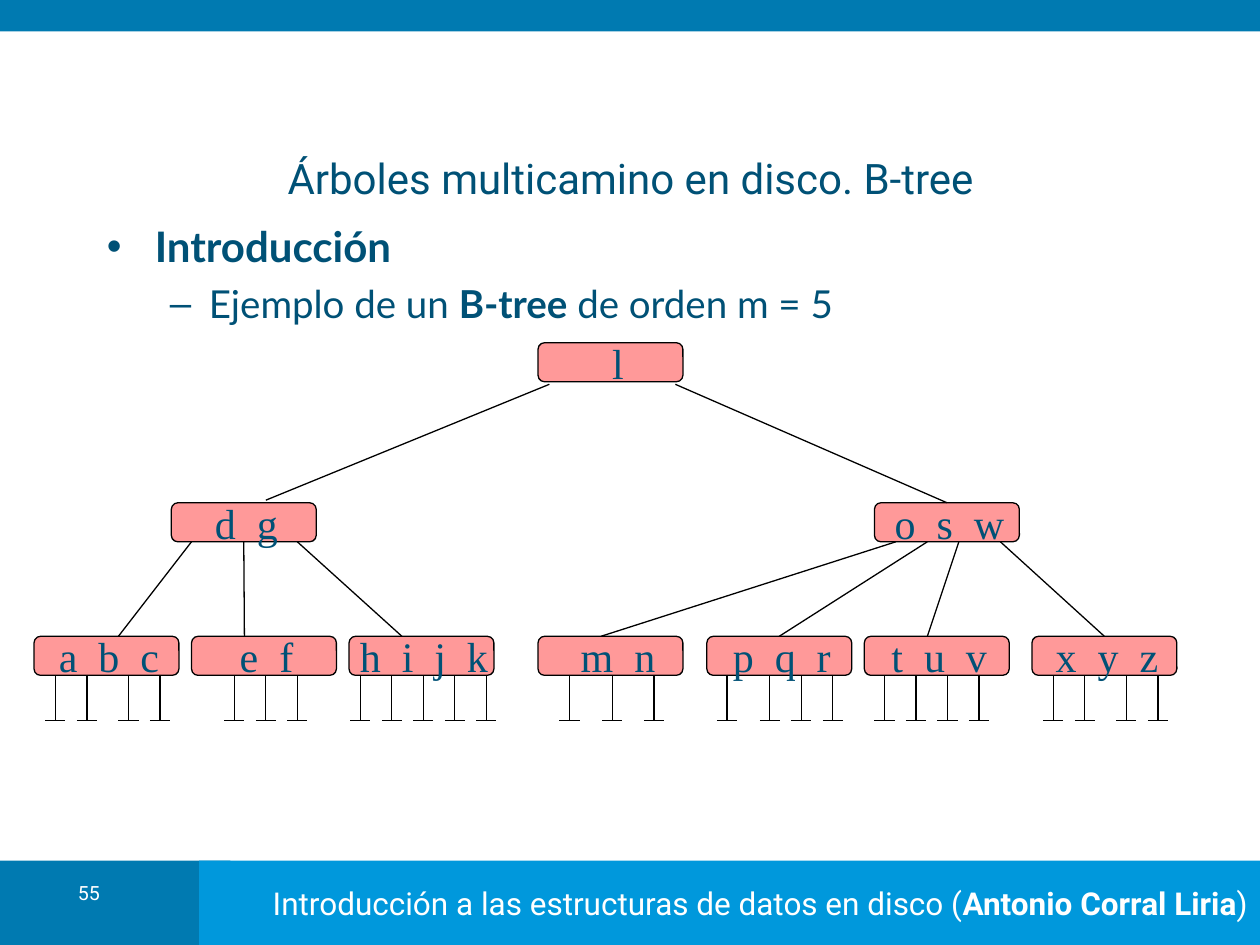
from itertools import accumulate

from lxml import etree
from pptx import Presentation
from pptx.dml.color import RGBColor
from pptx.enum.shapes import MSO_CONNECTOR, MSO_SHAPE
from pptx.enum.text import MSO_ANCHOR, PP_ALIGN
from pptx.oxml.ns import qn
from pptx.util import Inches, Pt

RECTANGLE, ROUNDED = MSO_SHAPE.RECTANGLE, MSO_SHAPE.ROUNDED_RECTANGLE
STRAIGHT = MSO_CONNECTOR.STRAIGHT
MIDDLE = MSO_ANCHOR.MIDDLE
LEFT, CENTER, RIGHT = PP_ALIGN.LEFT, PP_ALIGN.CENTER, PP_ALIGN.RIGHT
TOP_SIDE, BOTTOM_SIDE = 0, 2

BLACK, WHITE, TEXT_BLUE = "000000", "FFFFFF", "005176"
DARK_BLUE, LIGHT_BLUE, PINK = "007AB1", "0098DC", "FF9999"

NODE_WIDTH, NODE_HEIGHT = 1.15, 0.31
ROOT_TOP, INNER_TOP, LEAF_TOP = 2.72, 3.99, 5.05
STEM_BOTTOM, BAR_WIDTH = 5.72, 0.16

# Keys: left edge and text shift
ROOT = ("l", 4.27, 0.12)
INNER = [("d g", 1.36, 0.04), ("o s w", 6.94, 0.04)]
# Leaves also have the first empty pointer and the gaps to the next ones
LEAVES = [
    ("a b c", 0.27, 0.04, [0.44, 0.25, 0.33, 0.25]),
    ("e f", 1.52, 0.04, [1.86, 0.25, 0.25]),
    ("h i j k", 2.77, 0.04, [2.86, 0.25, 0.25, 0.25, 0.25]),
    ("m n", 4.27, 0.12, [4.52, 0.34, 0.33]),
    ("p q r", 5.61, 0.04, [5.77, 0.34, 0.25, 0.25]),
    ("t u v", 6.86, 0.04, [7.02, 0.25, 0.25, 0.25]),
    ("x y z", 8.19, 0.04, [8.36, 0.25, 0.33, 0.25]),
]
# Parent, child, x at the parent, x at the child
ROOT_BRANCHES = [("l", "d g", 4.36, 2.11), ("l", "o s w", 5.36, 7.52)]
LEAF_BRANCHES = [
    ("d g", "a b c", 1.52, 0.94),
    ("d g", "e f", 1.94, 1.94),
    ("d g", "h i j k", 2.36, 3.19),
    ("o s w", "m n", 7.11, 4.77),
    ("o s w", "p q r", 7.36, 6.19),
    ("o s w", "t u v", 7.61, 7.36),
    ("o s w", "x y z", 7.94, 8.77),
]


def color(value):
    return RGBColor.from_string(value)


def add_box(slide, kind, left, top, width, height, fill, line=None):
    box = slide.shapes.add_shape(
        kind, Inches(left), Inches(top), Inches(width), Inches(height))
    box.shadow.inherit = False
    box.fill.solid()
    box.fill.fore_color.rgb = color(fill)
    if line:
        box.line.color.rgb = color(line)
        box.line.width = Pt(0.75)
    else:
        box.line.fill.background()
    return box


def add_text_box(slide, left, top, width, height):
    box = slide.shapes.add_textbox(
        Inches(left), Inches(top), Inches(width), Inches(height))
    box.text_frame.word_wrap = True
    return box


def write(para, runs, font, size, text_color, **layout):
    """Write (text, bold) runs and apply the paragraph layout values."""
    for name, value in layout.items():
        setattr(para, name, value)
    for text, bold in runs:
        span = para.add_run()
        span.text = text
        values = {"name": font, "size": Pt(size), "bold": bold}
        for name, value in values.items():
            setattr(span.font, name, value)
        span.font.color.rgb = color(text_color)


def add_bullet(para, mark, margin, hanging):
    properties = para._p.get_or_add_pPr()
    properties.set("marL", str(Inches(margin)))
    properties.set("indent", str(-Inches(hanging)))
    bullet_color = etree.SubElement(properties, qn("a:buClr"))
    etree.SubElement(bullet_color, qn("a:srgbClr"), val=TEXT_BLUE)
    etree.SubElement(properties, qn("a:buFont"), typeface="Arial")
    etree.SubElement(properties, qn("a:buChar"), char=mark)


def add_line(slide, x1, y1, x2, y2):
    line = slide.shapes.add_connector(
        STRAIGHT, Inches(x1), Inches(y1), Inches(x2), Inches(y2))
    line.line.color.rgb = color(BLACK)
    line.line.width = Pt(0.75)
    etree.SubElement(line._element.spPr, qn("a:effectLst"))
    return line


def add_node(slide, keys, left, top, shift):
    node = add_box(slide, ROUNDED, left, top, NODE_WIDTH, NODE_HEIGHT, PINK, BLACK)
    frame = node.text_frame
    values = {"word_wrap": False, "vertical_anchor": MIDDLE,
              "margin_left": Inches(shift), "margin_right": 0}
    for name, value in values.items():
        setattr(frame, name, value)
    para = frame.paragraphs[0]
    write(para, [(keys, False)], "Times New Roman", 24, TEXT_BLUE, alignment=CENTER)
    # Letter spacing of 3 pt keeps the keys apart
    para.runs[0].font._element.set("spc", "300")
    return node


def add_branch(slide, parent, child, x1, y1, x2, y2):
    line = add_line(slide, x1, y1, x2, y2)

    def is_middle(node, x):
        return abs(node.left + node.width / 2 - Inches(x)) < Inches(0.02)

    if is_middle(parent, x1):
        line.begin_connect(parent, BOTTOM_SIDE)
    if is_middle(child, x2):
        line.end_connect(child, TOP_SIDE)


def add_empty_pointers(slide, gaps):
    for x in accumulate(gaps):
        add_line(slide, x, LEAF_TOP + 0.25, x, STEM_BOTTOM)
        add_line(slide, x - BAR_WIDTH / 2, STEM_BOTTOM, x + BAR_WIDTH / 2, STEM_BOTTOM)


def add_frame(slide):
    add_box(slide, RECTANGLE, 0, 6.83, 1.83, 0.67, DARK_BLUE)
    footer = add_box(slide, RECTANGLE, 1.58, 6.83, 8.42, 0.67, LIGHT_BLUE)
    footer.text_frame.word_wrap = False
    footer.text_frame.vertical_anchor = MIDDLE
    runs = [("Introducción a las estructuras de datos en disco (", False),
            ("Antonio Corral Liria", True), (")", False)]
    write(footer.text_frame.paragraphs[0], runs, "Roboto", 18, WHITE, alignment=RIGHT)
    add_box(slide, RECTANGLE, 0, 0, 10, 0.25, DARK_BLUE)
    number = add_text_box(slide, 0.35, 6.98, 0.71, 0.32)
    write(number.text_frame.paragraphs[0], [("55", False)], "Roboto", 11.2, WHITE,
          alignment=CENTER, line_spacing=0.8)


def add_heading(slide):
    title = add_text_box(slide, 0.83, 1.2, 8.35, 0.42)
    title.text_frame.vertical_anchor = MIDDLE
    write(title.text_frame.paragraphs[0],
          [("Árboles multicamino en disco. B-tree", False)],
          "Roboto", 24, TEXT_BLUE, alignment=CENTER)

    frame = add_text_box(slide, 0.75, 1.7, 9.05, 5.12).text_frame
    topic = frame.paragraphs[0]
    add_bullet(topic, "•", 0.38, 0.38)
    write(topic, [("Introducción", True)], "Lato", 24, TEXT_BLUE, alignment=LEFT)
    example = frame.add_paragraph()
    add_bullet(example, "–", 0.81, 0.31)
    runs = [("Ejemplo de un ", False), ("B-tree", True), (" de orden m = 5", False)]
    write(example, runs, "Lato", 22, TEXT_BLUE,
          alignment=LEFT, level=1, space_before=Pt(5.5))


def add_tree(slide):
    # Empty pointers lie behind the nodes
    for *_, gaps in LEAVES:
        add_empty_pointers(slide, gaps)

    rows = [(ROOT_TOP, [ROOT]), (INNER_TOP, INNER),
            (LEAF_TOP, [leaf[:3] for leaf in LEAVES])]
    nodes = {keys: add_node(slide, keys, left, top, shift)
             for top, row in rows for keys, left, shift in row}

    levels = [(ROOT_BRANCHES, 3.05, 3.97),
              (LEAF_BRANCHES, INNER_TOP + NODE_HEIGHT, LEAF_TOP)]
    for branches, y1, y2 in levels:
        for parent, child, x1, x2 in branches:
            add_branch(slide, nodes[parent], nodes[child], x1, y1, x2, y2)


def main():
    deck = Presentation()
    deck.slide_width, deck.slide_height = Inches(10), Inches(7.5)
    page = deck.slides.add_slide(deck.slide_layouts[6])
    add_frame(page)
    add_heading(page)
    add_tree(page)
    deck.save("out.pptx")


if __name__ == "__main__":
    main()
